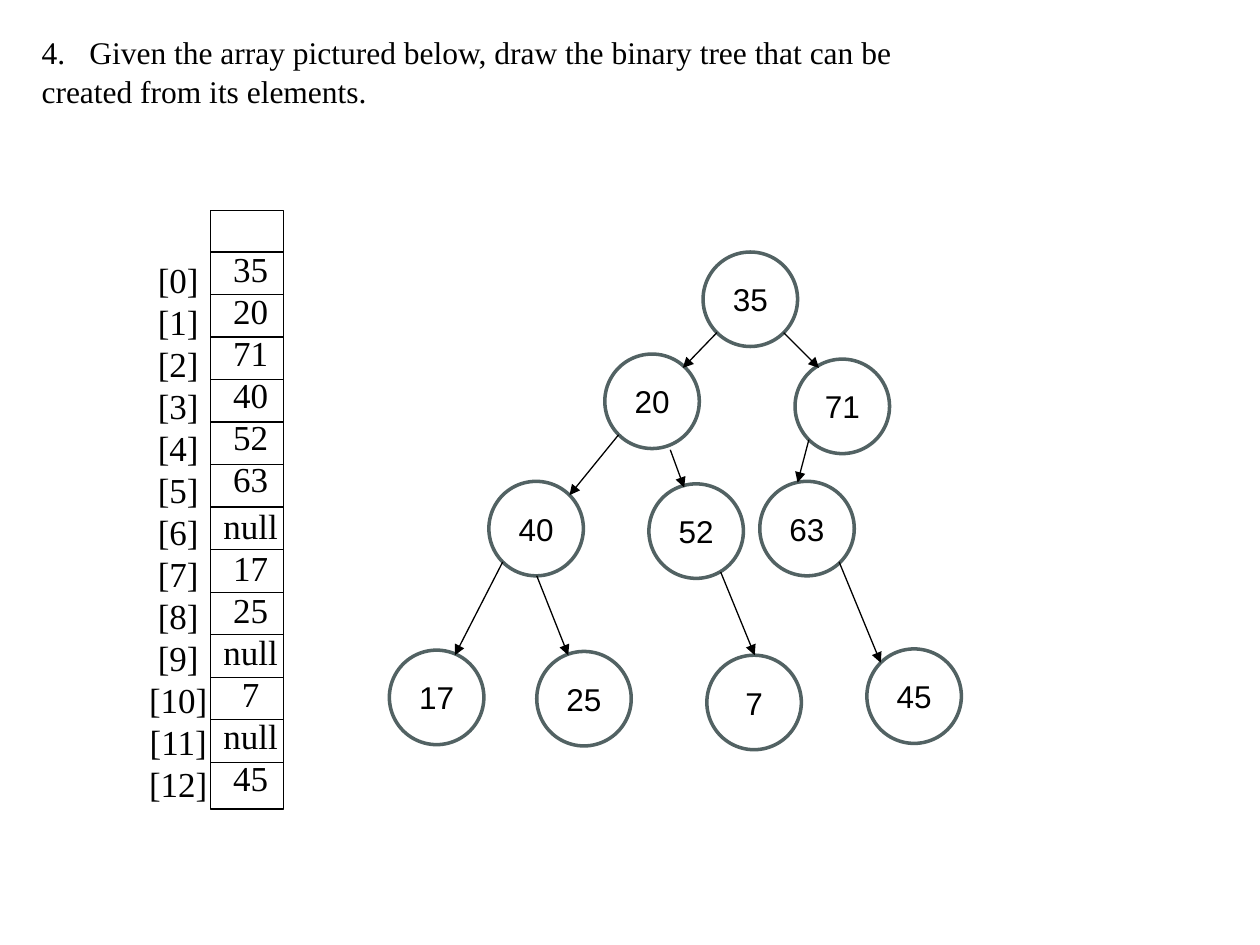
from lxml import etree
from pptx import Presentation
from pptx import util as u
from pptx.dml.color import RGBColor
from pptx.enum import shapes, text
from pptx.oxml.ns import qn

BLACK = RGBColor(0, 0, 0)
WHITE = RGBColor(255, 255, 255)
SLATE = RGBColor(0x52, 0x62, 0x63)
SERIF = {"name": "Times New Roman", "size": u.Pt(20)}
SANS = {"name": "Arial", "size": u.Pt(18)}

deck = Presentation()
deck.slide_width, deck.slide_height = u.Inches(10), u.Inches(7.5)
slide = deck.slides.add_slide(deck.slide_layouts[5])
parts = slide.shapes
unit = deck.slide_width / 100


def grid(*spots):
    return [round(spot * unit) for spot in spots]


def write(shape, lines, font, paras, anchor=text.MSO_ANCHOR.TOP):
    frame = shape.text_frame
    frame.text = "\n".join(lines)
    look = {"word_wrap": False, "auto_size": text.MSO_AUTO_SIZE.NONE,
            "vertical_anchor": anchor}
    for key, value in look.items():
        setattr(frame, key, value)
    for para in frame.paragraphs:
        for key, value in paras.items():
            setattr(para, key, value)
        for key, value in font.items():
            setattr(para.font, key, value)
        para.font.color.rgb = BLACK
    return frame.paragraphs


title = parts.title
title.left, title.top, title.width, title.height = grid(2.3, 2.1, 70.2, 7.1)
asks = write(title,
             ["Given the array pictured below, draw the binary tree that can be",
              "created from its elements."],
             {**SERIF, "size": u.Pt(18)},
             {"alignment": text.PP_ALIGN.LEFT, "line_spacing": u.Pt(22)})
props = asks[0]._p.get_or_add_pPr()
inset = grid(3.8)[0]
props.set("marL", str(inset))
props.set("indent", str(-inset))
etree.SubElement(props, qn("a:buAutoNum"), type="arabicPeriod", startAt="4")

left, right, top, step = 16.7, 22.5, 20, 3.375
items = ["35", "20", "71", "40", "52", "63", "null",
         "17", "25", "null", "7", "null", "45"]
frame = parts.add_shape(shapes.MSO_SHAPE.RECTANGLE,
                        *grid(left, 16.7, right - left, 47.5))
frame.shadow.inherit = False
frame.fill.background()
frame.line.color.rgb = BLACK
frame.line.width = u.Pt(0.75)

lists = [([f"[{num}]" for num in range(len(items))], (10.8, 20, 6.7, 44.8)),
         (items, (left, 19.15, 6.4, 44.8))]
for lines, spot in lists:
    paras = write(parts.add_textbox(*grid(*spot)), lines, SERIF,
                  {"alignment": text.PP_ALIGN.CENTER, "line_spacing": u.Pt(24)})
paras[items.index("null")].space_before = u.Pt(3)

rules = [(left, top + step * num, right, top + step * num)
         for num in range(len(items))]
edges = [(56.9, 26.4, 54.2, 29.2), (62.2, 26.4, 65, 29.2),
         (49.1, 34.5, 45.2, 39.3), (53.2, 35.7, 54.3, 38.7),
         (64.2, 34.9, 63.3, 38.3), (39.9, 44.6, 36.1, 52),
         (42.6, 45.7, 45.1, 52), (57.2, 45.4, 59.9, 52),
         (66.6, 44.6, 69.9, 52.6)]
nodes = [("35", 55.8, 20), ("20", 48, 28.1), ("71", 63.1, 28.5),
         ("40", 38.8, 38.2), ("52", 51.5, 38.4), ("63", 60.3, 38.2),
         ("17", 30.9, 51.6), ("25", 42.6, 51.7), ("7", 56.1, 52),
         ("45", 68.8, 51.5)]

for label, x, y in nodes:
    node = parts.add_shape(shapes.MSO_SHAPE.OVAL, *grid(x, y, 7.5, 7.5))
    node.shadow.inherit = False
    node.fill.solid()
    node.fill.fore_color.rgb = WHITE
    node.line.color.rgb = SLATE
    node.line.width = u.Pt(2)
    write(node, [label], SANS, {"alignment": text.PP_ALIGN.CENTER},
          text.MSO_ANCHOR.MIDDLE)

for ends in rules + edges:
    line = parts.add_connector(shapes.MSO_CONNECTOR.STRAIGHT, *grid(*ends))
    line.line.color.rgb = BLACK
    line.line.width = u.Pt(0.75)
    if ends in edges:
        etree.SubElement(line.line._get_or_add_ln(), qn("a:tailEnd"),
                         type="triangle")
    etree.SubElement(line._element.spPr, qn("a:effectLst"))

deck.save("out.pptx")
